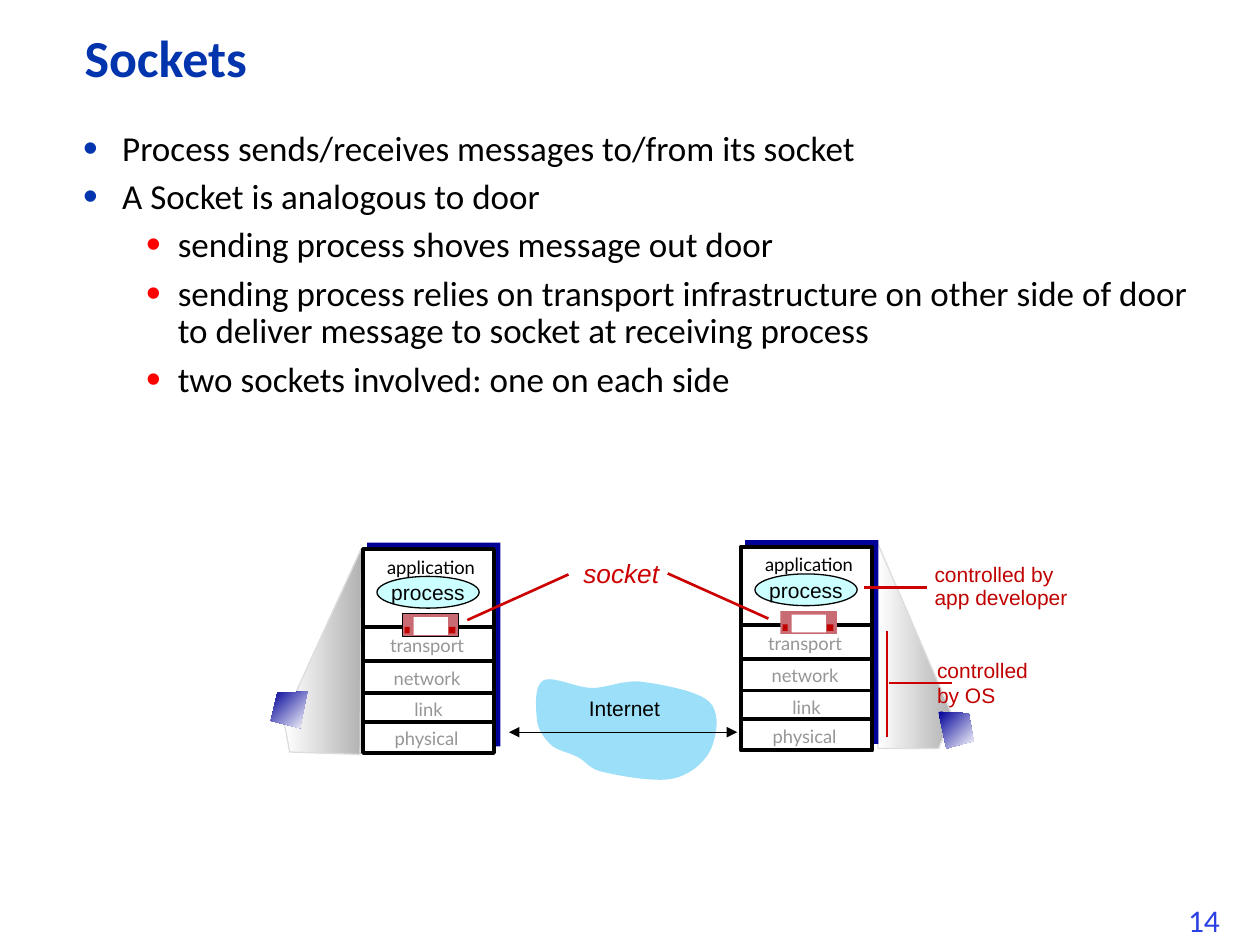
from lxml import etree
from pptx import Presentation
from pptx.dml.color import RGBColor
from pptx.enum.shapes import MSO_CONNECTOR, MSO_SHAPE
from pptx.enum.text import MSO_ANCHOR, MSO_AUTO_SIZE, PP_ALIGN
from pptx.oxml.ns import qn
from pptx.util import Cm, Pt

LEFT, CENTER = PP_ALIGN.LEFT, PP_ALIGN.CENTER
TOP, MIDDLE = MSO_ANCHOR.TOP, MSO_ANCHOR.MIDDLE
NO_AUTOFIT = MSO_AUTO_SIZE.NONE
STRAIGHT = MSO_CONNECTOR.STRAIGHT
RECTANGLE, OVAL = MSO_SHAPE.RECTANGLE, MSO_SHAPE.OVAL


class Theme:
    heading, text_font, label_font, diagram_font = "Calibri", "Calibri", "Lato", "Arial"
    title, black, white, red_bullet = "0234AD", "000000", "FFFFFF", "FF0000"
    number, navy, gray, flap, flap_edge = "2A40E2", "000099", "969696", "B2B2B2", "DDDDDD"
    cloud, process, socket, knob, callout = "9CDFF9", "CCFFFF", "C96B72", "C00000", "CC0000"
    title_size, body_size, number_size = 29.7, 20, 18
    socket_size, diagram_size, label_size = 15, 12, 10.5
    thin, medium, thick = 0.75, 1.5, 2.25


def write_text(shape, lines, size, font, color, align=LEFT, spacing=1.0,
               anchor=TOP, wrap=False, bold=False, italic=False):
    frame = shape.text_frame
    frame.auto_size = NO_AUTOFIT
    frame.word_wrap = wrap
    frame.vertical_anchor = anchor
    for index, line in enumerate(lines):
        paragraph = frame.paragraphs[0] if index == 0 else frame.add_paragraph()
        paragraph.alignment = align
        paragraph.line_spacing = spacing
        run = paragraph.add_run()
        run.text = line
        run.font.size = Pt(size)
        run.font.name = font
        run.font.bold = bold
        run.font.italic = italic
        run.font.color.rgb = RGBColor.from_string(color)


def add_line(x1, y1, x2, y2, color, width):
    line = slide.shapes.add_connector(STRAIGHT, Cm(x1), Cm(y1), Cm(x2), Cm(y2))
    line.line.color.rgb = RGBColor.from_string(color)
    line.line.width = Pt(width)
    etree.SubElement(line._element.spPr, qn("a:effectLst"))
    return line


presentation = Presentation()
presentation.slide_width, presentation.slide_height = Cm(25.4), Cm(19.05)
slide = presentation.slides.add_slide(presentation.slide_layouts[1])

title, body = slide.shapes.title, slide.placeholders[1]
title.left, title.top, title.width, title.height = Cm(1.45), Cm(0.48), Cm(19.89), Cm(1.47)
write_text(title, ["Sockets"], Theme.title_size, Theme.heading, Theme.title,
           spacing=0.9, anchor=MIDDLE, wrap=True, bold=True)

body.left, body.top, body.width, body.height = Cm(1.42), Cm(2.51), Cm(22.83), Cm(4.85)
bullets = [
    (0, "Process sends/receives messages to/from its socket"),
    (0, "A Socket is analogous to door"),
    (1, "sending process shoves message out door"),
    (1, "sending process relies on transport infrastructure on other side of door "
        "to deliver message to socket at receiving process"),
    (1, "two sockets involved: one on each side"),
]
levels = [(0.79, 0.79, Theme.title), (1.91, 0.64, Theme.red_bullet)]
write_text(body, [text for _, text in bullets], Theme.body_size, Theme.text_font,
           Theme.black, spacing=0.9, wrap=True)
for index, (level, _) in enumerate(bullets):
    paragraph = body.text_frame.paragraphs[index]
    margin, hanging, color = levels[level]
    paragraph.level = level
    paragraph.space_before = Pt(6 if index else 0)
    properties = paragraph._p.get_or_add_pPr()
    properties.set("marL", str(Cm(margin)))
    properties.set("indent", str(-Cm(hanging)))
    bullet_color = etree.SubElement(properties, qn("a:buClr"))
    etree.SubElement(bullet_color, qn("a:srgbClr"), val=color)
    etree.SubElement(properties, qn("a:buSzPct"), val="120000")
    etree.SubElement(properties, qn("a:buFont"), typeface="Arial")
    etree.SubElement(properties, qn("a:buChar"), char="•")

cloud_start = (10.82, 14.45)
cloud_curves = [
    ((10.8, 14.25), (10.77, 13.82), (10.95, 13.72)),
    ((11.13, 13.61), (11.61, 13.87), (11.94, 13.87)),
    ((12.24, 13.87), (12.5, 13.72), (12.9, 13.74)),
    ((13.28, 13.79), (14.07, 13.92), (14.3, 14.15)),
    ((14.53, 14.38), (14.45, 14.83), (14.33, 15.11)),
    ((14.2, 15.37), (13.92, 15.62), (13.56, 15.7)),
    ((13.21, 15.77), (12.52, 15.65), (12.19, 15.57)),
    ((11.89, 15.52), (11.84, 15.37), (11.66, 15.27)),
    ((11.46, 15.16), (11.23, 15.14), (11.1, 15.01)),
    ((10.95, 14.86), (10.82, 14.68), cloud_start),
]
cloud = [cloud_start]
for first, second, end in cloud_curves:
    start = cloud[-1]
    for step in range(1, 11):
        t = step / 10
        cloud.append(tuple(
            (1 - t) ** 3 * a + 3 * (1 - t) ** 2 * t * b + 3 * (1 - t) * t ** 2 * c + t ** 3 * d
            for a, b, c, d in zip(start, first, second, end)))

flap_fill, computer_fill = (Theme.white, Theme.flap), (Theme.navy, Theme.white)
outlines = [
    ([(19.2, 14.43), (17.68, 10.92), (17.7, 15.09), (18.92, 15.09)], flap_fill, 0, Theme.flap_edge),
    ([(5.72, 14.5), (7.29, 11.05), (7.26, 15.21), (5.84, 15.16)], flap_fill, 0, Theme.flap_edge),
    ([(6.2, 13.94), (5.59, 13.97), (5.46, 14.53), (6.05, 14.68)], computer_fill, 315, None),
    ([(18.92, 14.35), (19.53, 14.38), (19.63, 14.94), (19.08, 15.09)], computer_fill, 315, None),
    (cloud, (Theme.cloud,), 0, None),
]
for points, colors, angle, edge in outlines:
    corners = [(Cm(x), Cm(y)) for x, y in points]
    builder = slide.shapes.build_freeform(*corners[0])
    builder.add_line_segments(corners[1:], close=True)
    shape = builder.convert_to_shape()
    shape.shadow.inherit = False
    if len(colors) == 2:
        shape.fill.gradient()
        shape.fill.gradient_angle = angle
        for position, (stop, color) in enumerate(zip(shape.fill.gradient_stops, colors)):
            stop.position = position
            stop.color.rgb = RGBColor.from_string(color)
    else:
        shape.fill.solid()
        shape.fill.fore_color.rgb = RGBColor.from_string(colors[0])
    if edge:
        shape.line.color.rgb = RGBColor.from_string(edge)
        shape.line.width = Pt(Theme.thin)
    else:
        shape.line.fill.background()

layer_labels = [
    ("application", 0, -0.03, Theme.black),
    ("transport", -0.08, 1.55, Theme.gray),
    ("network", -0.08, 2.21, Theme.gray),
    ("link", -0.05, 2.84, Theme.gray),
    ("physical", -0.09, 3.43, Theme.gray),
]
for host_x, host_y, socket_edge in [(7.32, 11.07, Theme.thin), (14.94, 11.02, None)]:
    host_parts = [
        (RECTANGLE, 0.08, -0.13, 2.69, 4.11, Theme.navy, None),
        (RECTANGLE, 0, 0, 2.64, 4.11, Theme.white, Theme.thick),
        (OVAL, 0.28, 0.55, 2.06, 0.64, Theme.process, Theme.thin),
        (RECTANGLE, 0.79, 1.3, 1.14, 0.46, Theme.socket, socket_edge),
        (RECTANGLE, 1.02, 1.37, 0.69, 0.36, Theme.white, None),
        (RECTANGLE, 1.73, 1.57, 0.13, 0.13, Theme.knob, None),
        (RECTANGLE, 0.84, 1.57, 0.1, 0.13, Theme.knob, None),
    ]
    for index, (kind, x, y, width, height, fill, edge) in enumerate(host_parts):
        shape = slide.shapes.add_shape(kind, Cm(host_x + x), Cm(host_y + y), Cm(width), Cm(height))
        shape.shadow.inherit = False
        shape.fill.solid()
        shape.fill.fore_color.rgb = RGBColor.from_string(fill)
        if edge:
            shape.line.color.rgb = RGBColor.from_string(Theme.black)
            shape.line.width = Pt(edge)
        else:
            shape.line.fill.background()
        if kind == OVAL:
            write_text(shape, ["process"], Theme.diagram_size, Theme.diagram_font,
                       Theme.black, CENTER, anchor=MIDDLE)
        if index == 1:
            for y in (1.57, 2.26, 2.9, 3.48):
                add_line(host_x, host_y + y, host_x + 2.64, host_y + y, Theme.black, Theme.thick)
            for text, x, y, color in layer_labels:
                label = slide.shapes.add_textbox(Cm(host_x + x), Cm(host_y + y), Cm(2.74), Cm(0.71))
                write_text(label, [text], Theme.label_size, Theme.label_font, color,
                           CENTER, spacing=1.1, wrap=True)

network_link = add_line(10.26, 14.76, 14.86, 14.76, Theme.black, Theme.thin)
for end in ("a:headEnd", "a:tailEnd"):
    etree.SubElement(network_link.line._get_or_add_ln(), qn(end), type="triangle")

callout_lines = [
    (18.69, 11.84, 17.42, 11.84),
    (17.88, 12.73, 17.88, 14.86),
    (19.2, 13.77, 17.93, 13.77),
    (9.42, 12.5, 11.46, 11.58),
    (15.49, 12.47, 13.46, 11.56),
]
for ends in callout_lines:
    add_line(*ends, Theme.callout, Theme.medium)

diagram, small = Theme.diagram_font, Theme.diagram_size
captions = [
    (11.61, 13.89, 1.96, 0.76, ["Internet"], small, diagram, Theme.black, CENTER, 1.0, False),
    (18.64, 13.13, 2.36, 1.8, ["controlled", "by OS"], small, diagram, Theme.knob, LEFT, 1.0, False),
    (18.59, 11.25, 3.2, 1.17, ["controlled by", "app developer"], small, diagram,
     Theme.knob, LEFT, 0.9, False),
    (11.51, 11.18, 2.06, 0.84, ["socket"], Theme.socket_size, diagram, Theme.callout, LEFT, 0.9, True),
    (23.7, 18.03, 1.3, 1.02, ["14"], Theme.number_size, Theme.text_font, Theme.number, LEFT, 1.0, False),
]
for x, y, width, height, lines, size, font, color, align, spacing, italic in captions:
    caption = slide.shapes.add_textbox(Cm(x), Cm(y), Cm(width), Cm(height))
    write_text(caption, lines, size, font, color, align, spacing, italic=italic)

presentation.save("out.pptx")
